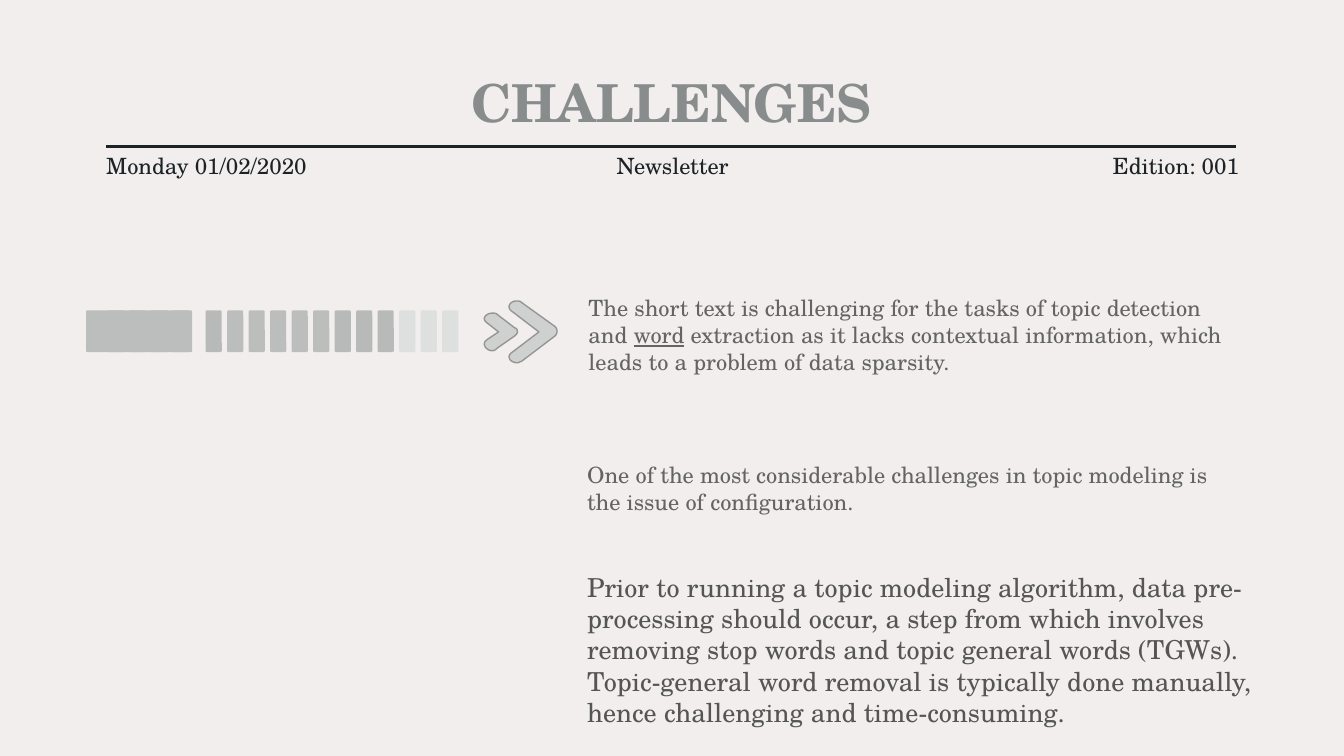
"""Build the challenges slide with a newsletter header, a progress bar and an arrow."""
from pptx import Presentation
from pptx.dml.color import RGBColor
from pptx.enum.shapes import MSO_CONNECTOR, MSO_SHAPE
from pptx.enum.text import MSO_ANCHOR as Anchor, PP_ALIGN as Align
from pptx.oxml.ns import qn
from pptx.util import Pt
from lxml.etree import SubElement

PX = 9144
FONT = "TeX Gyre Schola"
PAPER = RGBColor(0xF1, 0xEE, 0xED)
INK = RGBColor(0x1C, 0x22, 0x26)
TITLE = RGBColor(0x88, 0x8C, 0x8C)
BODY = RGBColor(0x64, 0x64, 0x64)
DARK_BODY = RGBColor(0x55, 0x55, 0x55)
BAR = RGBColor(0xBC, 0xBE, 0xBE)
DARK_BAR = RGBColor(0xB8, 0xBA, 0xBA)
LIGHT_BAR = RGBColor(0xDE, 0xDF, 0xDF)
ARROW = RGBColor(0xCF, 0xD1, 0xD1)
ARROW_EDGE = RGBColor(0x95, 0x95, 0x95)

HEADINGS = [
    ("CHALLENGES", (175, 53, 649, 46), 10, Align.CENTER, 28, TITLE, True),
    ("Monday 01/02/2020", (79, 114, 169, 19), 0, Align.LEFT, 12, INK, False),
    ("Newsletter", (416, 114, 169, 19), 10, Align.CENTER, 12, INK, False),
    ("Edition: 001", (753, 114, 169, 19), 0, Align.RIGHT, 12, INK, False),
]
PARAGRAPHS = [
    ((428, 214, 492, 91), 12, BODY, [
        ("The short text is challenging for the tasks of topic detection and ", False),
        ("word", True),
        (" extraction as it lacks contextual information, which leads to a problem "
         "of data sparsity.", False)]),
    ((427, 338, 492, 50), 12, BODY, [
        ("One of the most considerable challenges in topic modeling is the issue of "
         "configuration.", False)]),
    ((427, 420, 526, 128), 14, DARK_BODY, [
        ("Prior to running a topic modeling algorithm, data pre-processing should occur, "
         "a step from which involves removing stop words and topic general words (TGWs). "
         "Topic-general word removal is typically done manually, hence challenging and "
         "time-consuming.", False)]),
]
BAR_TOP, BAR_HEIGHT, BAR_STEP = 231, 31, 16
WIDE_BARS = [(29, BAR)] * 4 + [(15, BAR)]
NARROW_BARS = ([(12, DARK_BAR)] + [(12, BAR)] * 5 + [(12, DARK_BAR)] * 3
               + [(12, LIGHT_BAR)] * 3)
BAR_RUNS = [(64, WIDE_BARS), (153, NARROW_BARS)]
CHEVRONS = [
    [(384, 224), (380, 224, 377, 228, 380, 231), (401, 247), (380, 263),
     (377, 266, 380, 270, 385, 270), (386, 270, 387, 269, 388, 269), (413, 250),
     (415, 248, 415, 245, 413, 243), (388, 225), (387, 224, 386, 224, 384, 224)],
    [(366, 233), (362, 233, 358, 237, 362, 240), (371, 247), (362, 253),
     (358, 256, 362, 261, 366, 261), (368, 261, 369, 260, 370, 259), (383, 250),
     (384, 249, 385, 248, 385, 247), (385, 245, 384, 244, 383, 244), (370, 234),
     (369, 233, 368, 233, 366, 233)],
]


def emu(*lengths):
    return [round(length * PX) for length in lengths]


def add_text(shapes, box, runs, size, color, align=Align.LEFT, bold=False):
    text_box = shapes.add_textbox(*emu(*box))
    frame = text_box.text_frame
    frame.word_wrap = True
    paragraph = frame.paragraphs[0]
    paragraph.alignment = align
    for text, underline in runs:
        run = paragraph.add_run()
        run.text = text
        font = run.font
        font.name, font.size, font.bold, font.underline = FONT, Pt(size), bold, underline
        font.color.rgb = color
    return frame


def add_heading(shapes, text, box, inset, align, size, color, bold):
    frame = add_text(shapes, box, [(text, False)], size, color, align, bold)
    frame.vertical_anchor = Anchor.MIDDLE
    frame.margin_left = frame.margin_right = inset * PX
    frame.margin_top = frame.margin_bottom = 0


def add_rule(shapes):
    rule = shapes.add_connector(MSO_CONNECTOR.STRAIGHT, *emu(79, 109, 920, 109))
    rule.line.color.rgb = INK
    rule.line.width = Pt(1.5)
    SubElement(rule._element.spPr, qn("a:effectLst"))


def add_bar(shapes, left, width, color):
    bar = shapes.add_shape(MSO_SHAPE.ROUNDED_RECTANGLE,
                           *emu(left, BAR_TOP, width, BAR_HEIGHT))
    bar.adjustments[0] = 1 / width
    bar.shadow.inherit = False
    bar.fill.solid()
    bar.fill.fore_color.rgb = color
    bar.line.fill.background()


def trace(outline, steps=8):
    points = [outline[0]]
    for segment in outline[1:]:
        if len(segment) == 2:
            points.append(segment)
            continue
        curve = [points[-1], segment[:2], segment[2:4], segment[4:]]
        for step in range(1, steps + 1):
            t = step / steps
            weights = ((1 - t) ** 3, 3 * t * (1 - t) ** 2, 3 * t * t * (1 - t), t ** 3)
            points.append(tuple(sum(w * point[axis] for w, point in zip(weights, curve))
                                for axis in (0, 1)))
    return [emu(*point) for point in points]


def add_chevron(shapes, outline):
    start, *rest = trace(outline)
    builder = shapes.build_freeform(*start, scale=1.0)
    builder.add_line_segments(rest, close=True)
    chevron = builder.convert_to_shape()
    chevron.shadow.inherit = False
    chevron.fill.solid()
    chevron.fill.fore_color.rgb = ARROW
    chevron.line.color.rgb = ARROW_EDGE
    chevron.line.width = Pt(0.75)


def main():
    presentation = Presentation()
    presentation.slide_width, presentation.slide_height = emu(1000, 562.5)
    slide = presentation.slides.add_slide(presentation.slide_layouts[6])
    slide.background.fill.solid()
    slide.background.fill.fore_color.rgb = PAPER
    shapes = slide.shapes
    add_rule(shapes)
    for heading in HEADINGS:
        add_heading(shapes, *heading)
    arrow = shapes.add_group_shape().shapes
    for outline in CHEVRONS:
        add_chevron(arrow, outline)
    progress = shapes.add_group_shape().shapes
    for left, bars in BAR_RUNS:
        for index, (width, color) in enumerate(bars):
            add_bar(progress, left + index * BAR_STEP, width, color)
    for box, size, color, runs in PARAGRAPHS:
        add_text(shapes, box, runs, size, color)
    presentation.save("out.pptx")


if __name__ == "__main__":
    main()
